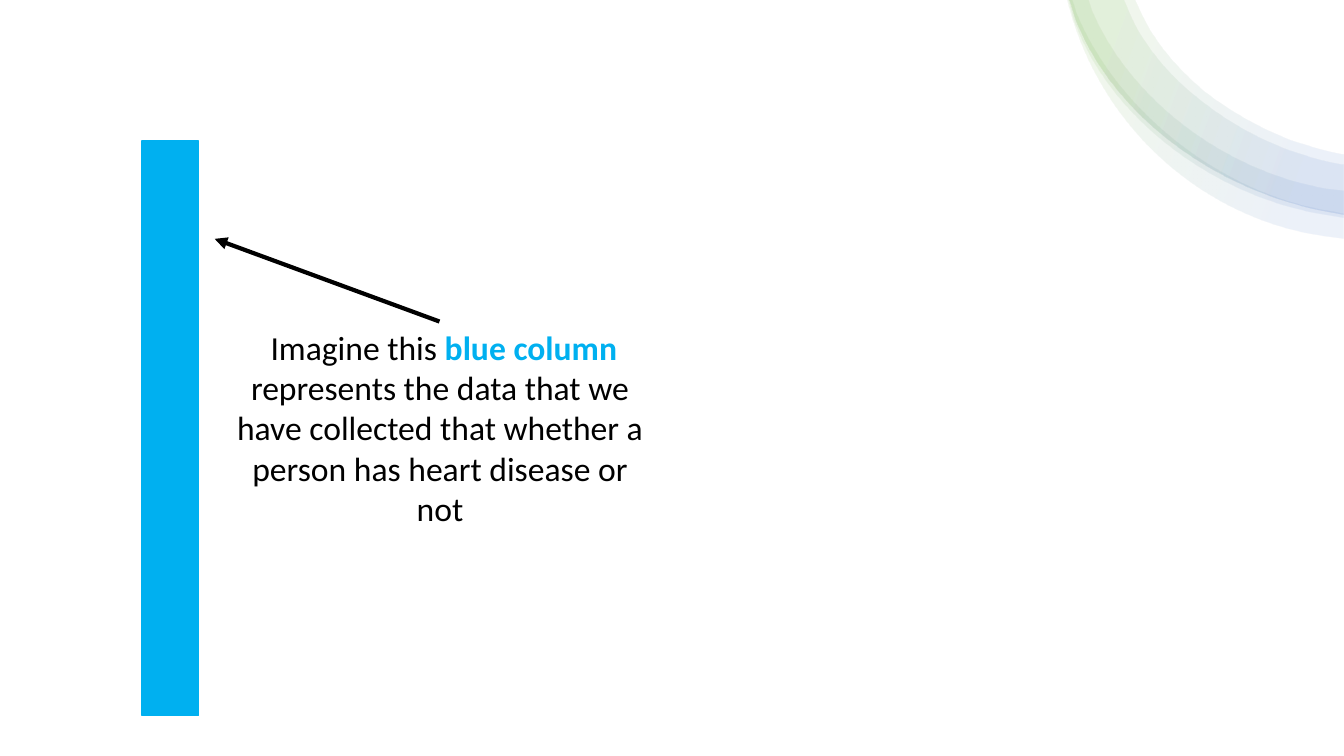
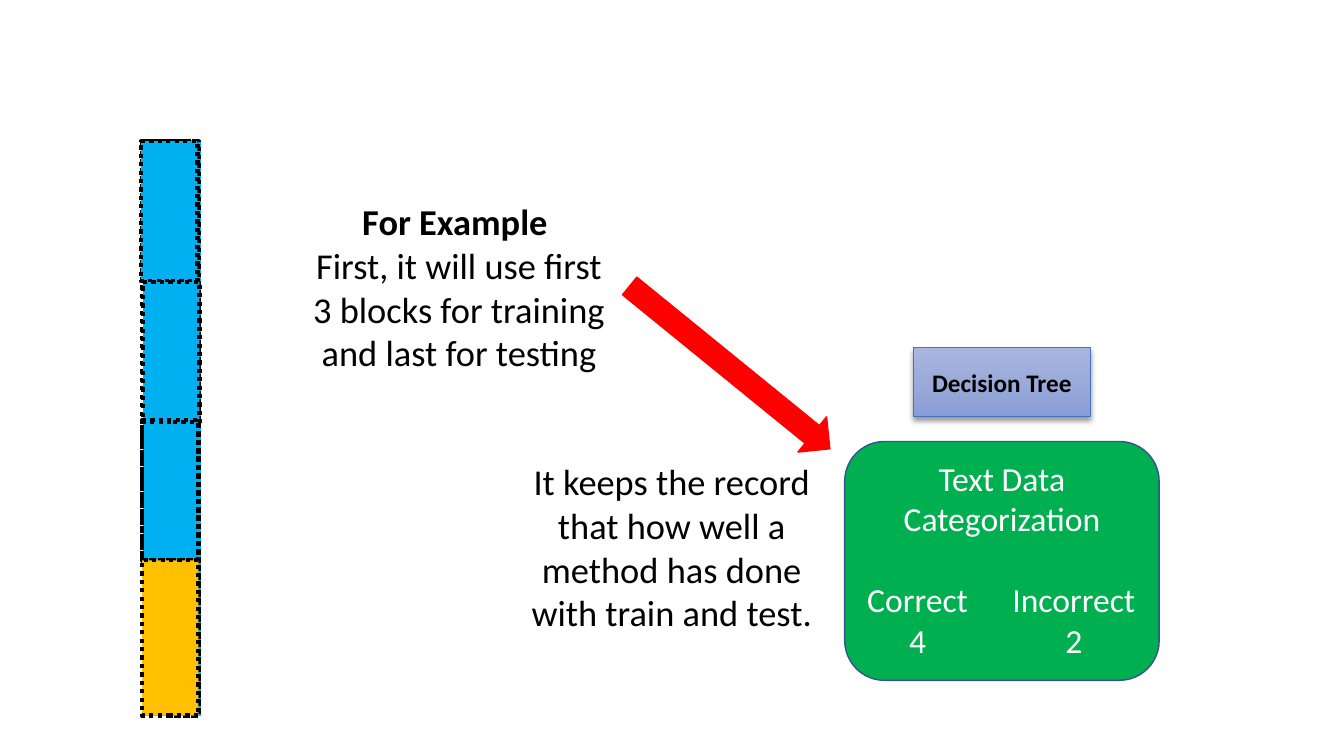
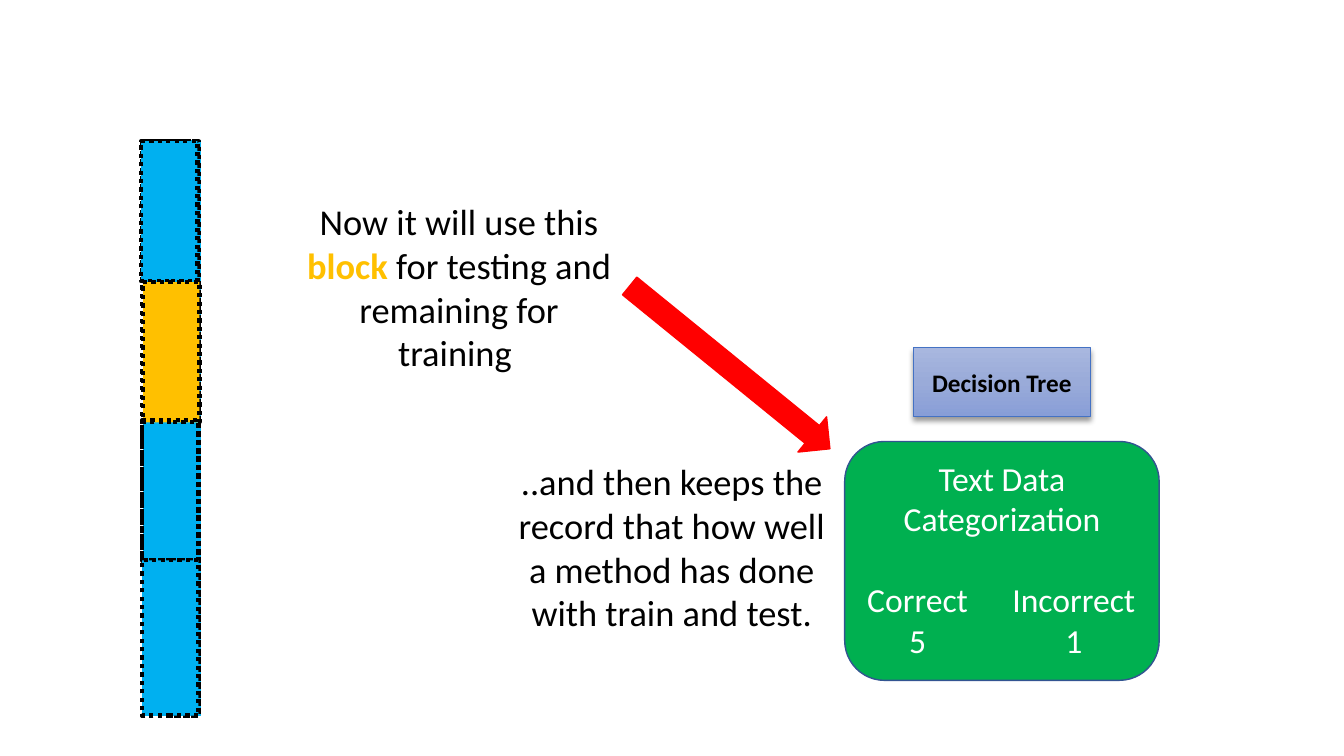
"""Build three slides that explain cross validation with blocks of data."""
from lxml.etree import SubElement
from pptx import Presentation
from pptx.dml.color import RGBColor
from pptx.enum.dml import MSO_LINE
from pptx.enum.shapes import MSO_CONNECTOR, MSO_SHAPE as SHAPE
from pptx.enum.text import MSO_ANCHOR, MSO_AUTO_SIZE, PP_ALIGN
from pptx.oxml.ns import qn
from pptx.util import Pt

PX = 9144
FONT = "Calibri"
BLACK, WHITE, RED, GREEN = "000000", "FFFFFF", "FF0000", "00B050"
TRAIN, TEST = "00B0F0", "FFC000"

RIBBON_STOPS = [(16, "70AD47"), (85, "4472C4")]
METHOD_STOPS = [(0, "A8B7DF"), (50, "9AABD9"), (100, "889ED7")]
MIDDLE_RIM = [(1061, 0), (1067, 19), (1105, 117, 1210, 192, 1323, 211), (1333, 213)]
RIBBONS = [
    [(1058, 0), (1059, 1), (1090, 125, 1190, 213, 1305, 233), (1333, 237),
     (1333, 212), (1311, 208), (1206, 188, 1107, 108, 1068, 13), (1064, 0)],
    MIDDLE_RIM + [(1333, 153), (1331, 153), (1315, 150, 1299, 145, 1283, 140),
                  (1251, 128, 1221, 111, 1195, 91), (1170, 70, 1149, 46, 1136, 21), (1126, 0)],
    [(1060, 0), (1065, 18), (1097, 113, 1200, 193, 1310, 212), (1333, 216),
     (1333, 189), (1316, 187), (1216, 170, 1122, 100, 1084, 12), (1080, 0)],
    MIDDLE_RIM + [(1333, 163), (1330, 163), (1313, 160, 1296, 155, 1279, 149),
                  (1246, 137, 1215, 119, 1189, 98), (1162, 77, 1141, 52, 1126, 25), (1115, 0)],
]

COLUMN = (140, 56, 570)
BLOCKS = [(140, 140, 139), (142, 280, 139), (141, 417, 139), (141, 556, 154)]
INTRO = [[(" Imagine this ", BLACK, False), ("blue column ", TRAIN, True),
          ("represents the data that we have collected that whether a person has heart disease or not",
           BLACK, False)]]
ROUNDS = [
    {"fills": [TRAIN, TRAIN, None, TEST],
     "step": [[("For Example ", BLACK, True)],
              [("First, it will use first 3 blocks for training and last for testing", BLACK, False)]],
     "record": "It keeps the record that how well a method has done with train and test.",
     "score": (4, 2)},
    {"fills": [TRAIN, TEST, None, TRAIN],
     "step": [[("Now it will use this ", BLACK, False), ("block", TEST, True),
               (" for testing and remaining for training ", BLACK, False)]],
     "record": "..and then keeps the record that how well a method has done with train and test.",
     "score": (5, 1)},
]
SCORE_TABS = (51, 206)


def rgb(code):
    """Turn a hex string into a colour."""
    return RGBColor.from_string(code)


def set_gradient(shape, stops, angle, alpha=100):
    """Fill a shape with colour stops along an angle in degrees."""
    shape.fill.gradient()
    gradient = shape._element.spPr.find(qn("a:gradFill"))
    stop_list = gradient.find(qn("a:gsLst"))
    for old_stop in list(stop_list):
        stop_list.remove(old_stop)
    for position, code in stops:
        stop = SubElement(stop_list, qn("a:gs"), pos=str(position * 1000))
        color = SubElement(stop, qn("a:srgbClr"), val=code)
        if alpha < 100:
            SubElement(color, qn("a:alpha"), val=str(alpha * 1000))
    gradient.find(qn("a:lin")).set("ang", str(angle * 60000))


def add_shape(slide, kind, box, fill=None, line=BLACK, width=1, dash=None):
    """Add a preset shape without shadow."""
    shape = slide.shapes.add_shape(kind, *(v * PX for v in box))
    shape.shadow.inherit = False
    if fill:
        shape.fill.solid()
        shape.fill.fore_color.rgb = rgb(fill)
    else:
        shape.fill.background()
    shape.line.color.rgb = rgb(line)
    shape.line.width = Pt(width)
    if dash:
        shape.line.dash_style = dash
    return shape


def write(frame, paragraphs, size):
    """Write centred paragraphs made of (text, colour, bold) runs."""
    frame.word_wrap = True
    for i, runs in enumerate(paragraphs):
        paragraph = frame.add_paragraph() if i else frame.paragraphs[0]
        paragraph.alignment = PP_ALIGN.CENTER
        paragraph.font.name = FONT
        paragraph.font.size = Pt(size)
        for text, color, bold in runs:
            run = paragraph.add_run()
            run.text = text
            run.font.color.rgb = rgb(color)
            run.font.bold = bold


def add_text(slide, box, paragraphs, size=26):
    """Add a text box that grows with its text."""
    frame = slide.shapes.add_textbox(*(v * PX for v in box)).text_frame
    write(frame, paragraphs, size)
    frame.auto_size = MSO_AUTO_SIZE.SHAPE_TO_FIT_TEXT


def add_ribbon(slide, outline):
    """Add a translucent ribbon whose six-number steps are cubic curves."""
    start, *steps = outline
    builder = slide.shapes.build_freeform(*start, scale=PX)
    builder.add_line_segments([step[-2:] for step in steps])
    ribbon = builder.convert_to_shape()
    left, top = (min(step[axis] for step in outline) for axis in (-2, -1))
    segments = list(ribbon._element.iter(qn("a:lnTo")))
    for segment, step in zip(segments, steps):
        if len(step) == 6:
            curve = SubElement(segment.getparent(), qn("a:cubicBezTo"))
            for x, y in zip(step[::2], step[1::2]):
                SubElement(curve, qn("a:pt"), x=str(x - left), y=str(y - top))
            segment.getparent().replace(segment, curve)
    ribbon.shadow.inherit = False
    ribbon.line.fill.background()
    set_gradient(ribbon, RIBBON_STOPS, 20, 10)


def add_column(slide, left, fill=TRAIN, **line):
    """Add the full data column."""
    top, width, height = COLUMN
    add_shape(slide, SHAPE.RECTANGLE, (left, top, width, height), fill, **line)


def add_pointer(slide, start, end):
    """Add a straight black arrow."""
    pointer = slide.shapes.add_connector(MSO_CONNECTOR.STRAIGHT, *(v * PX for v in start + end))
    pointer.line.color.rgb = rgb(BLACK)
    pointer.line.width = Pt(3)
    SubElement(pointer.line._get_or_add_ln(), qn("a:tailEnd"), type="triangle")
    SubElement(pointer._element.spPr, qn("a:effectLst"))


def add_score_card(slide, score):
    """Add the green card with its two tabbed score rows."""
    card = add_shape(slide, SHAPE.ROUNDED_RECTANGLE, (838, 438, 312, 237), GREEN, "325491")
    frame = card.text_frame
    frame.vertical_anchor = MSO_ANCHOR.TOP
    rows = [("Correct", "Incorrect"), score]
    lines = ["Text Data Categorization"] + ["".join(f"\t{cell}" for cell in row) for row in rows]
    write(frame, [[(line, WHITE, False)] for line in lines], 24)
    for paragraph in frame.paragraphs[1:]:
        paragraph.alignment = PP_ALIGN.LEFT
        tabs = SubElement(paragraph._p.pPr, qn("a:tabLst"))
        paragraph._p.pPr.find(qn("a:defRPr")).addprevious(tabs)
        for position in SCORE_TABS:
            SubElement(tabs, qn("a:tab"), pos=str(position * PX), algn="ctr")
    frame.paragraphs[1].space_before = Pt(29)


def add_method(slide):
    """Add the shaded method label."""
    method = add_shape(slide, SHAPE.RECTANGLE, (906, 345, 176, 68), line="4472C4", width=0.5)
    set_gradient(method, METHOD_STOPS, 90)
    effects = method._element.spPr.find(qn("a:effectLst"))
    shadow = SubElement(effects, qn("a:outerShdw"), blurRad=str(Pt(4)), dist=str(Pt(3)),
                        dir="5400000", rotWithShape="0")
    color = SubElement(shadow, qn("a:srgbClr"), val=BLACK)
    SubElement(color, qn("a:alpha"), val="40000")
    method.text_frame.vertical_anchor = MSO_ANCHOR.MIDDLE
    write(method.text_frame, [[("Decision Tree", BLACK, True)]], 18)


def build_intro(slide):
    """Build the slide that introduces the data column."""
    for outline in RIBBONS:
        add_ribbon(slide, outline)
    add_column(slide, 141, line=TRAIN)
    add_text(slide, (222, 319, 429, 212), INTRO, 24)
    add_pointer(slide, (436, 319), (213, 237))


def build_round(slide, content):
    """Build one training and testing round."""
    dotted = {"width": 3, "dash": MSO_LINE.ROUND_DOT}
    add_column(slide, 143, line=TRAIN)
    add_text(slide, (293, 193, 325, 185), content["step"])
    add_column(slide, 141, None, **dotted)
    for (left, top, height), fill in zip(BLOCKS, content["fills"]):
        add_shape(slide, SHAPE.RECTANGLE, (left, top, COLUMN[1], height), fill, **dotted)
    add_score_card(slide, content["score"])
    add_text(slide, (504, 451, 325, 185), [[(content["record"], BLACK, False)]])
    add_shape(slide, SHAPE.RIGHT_ARROW, (596, 342, 256, 45), RED, RED).rotation = 39.1
    add_method(slide)


def main():
    """Build and save the presentation."""
    deck = Presentation()
    deck.slide_height = 750 * PX
    deck.slide_width = deck.slide_height * 16 // 9
    blank = deck.slide_layouts[6]
    build_intro(deck.slides.add_slide(blank))
    for content in ROUNDS:
        build_round(deck.slides.add_slide(blank), content)
    deck.save("out.pptx")


if __name__ == "__main__":
    main()
